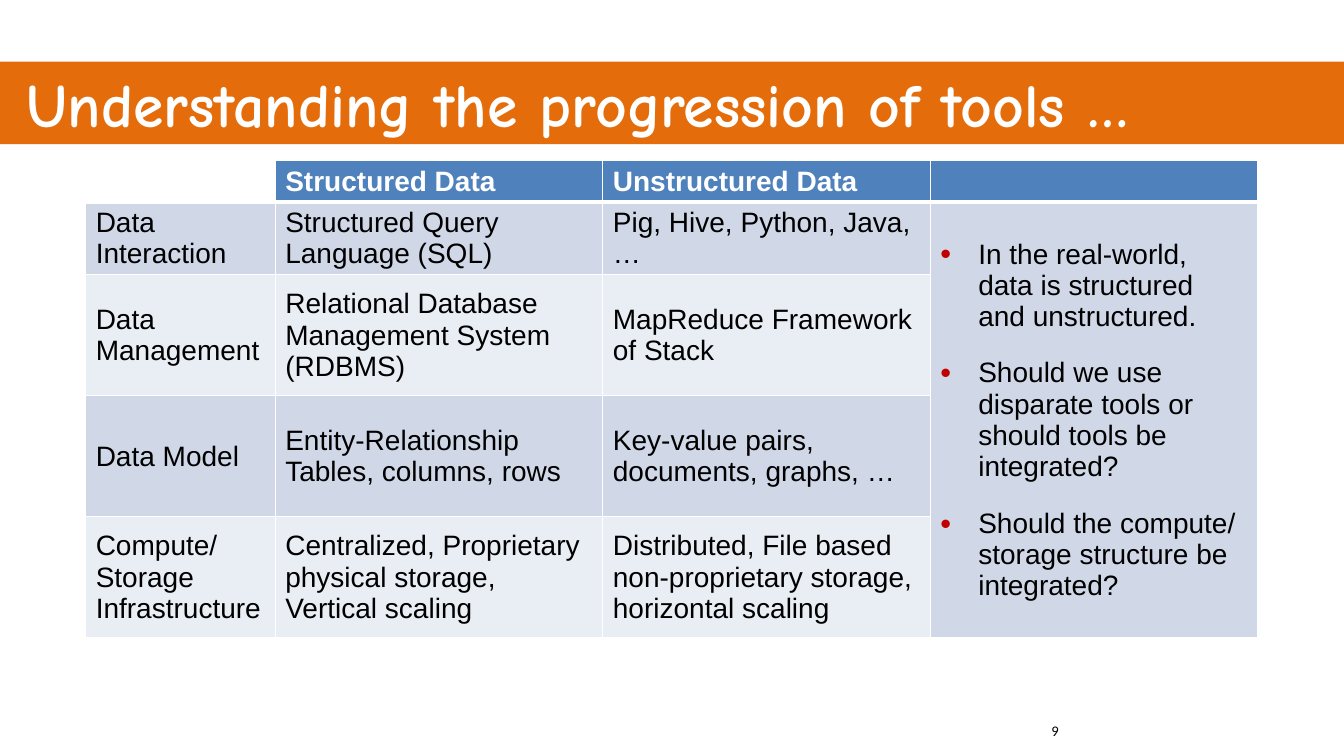
from lxml.etree import SubElement
from pptx import Presentation
from pptx.dml.color import RGBColor
from pptx.enum.text import MSO_ANCHOR, MSO_AUTO_SIZE, PP_ALIGN
from pptx.oxml import parse_xml
from pptx.oxml.ns import nsdecls, qn
from pptx.util import Pt

WHITE = RGBColor(0xFF, 0xFF, 0xFF)
BLACK = RGBColor(0, 0, 0)
ORANGE = RGBColor(0xE4, 0x6C, 0x0A)
HEADER_BLUE = RGBColor(0x4F, 0x81, 0xBD)
BAND_DARK = RGBColor(0xD0, 0xD8, 0xE8)
BAND_LIGHT = RGBColor(0xE9, 0xED, 0xF4)
BULLET_RED = RGBColor(0xC0, 0, 0)

SLIDE_WIDTH, SLIDE_HEIGHT = 960, 540
COLUMN_WIDTHS = [135.4, 234, 234, 234]
ROW_HEIGHTS = [30, 50.4, 86.4, 86.4, 86.4]

TOOL_ROWS = [
    ["", "Structured Data", "Unstructured Data", ""],
    ["Data Interaction", "Structured Query Language (SQL)", "Pig, Hive, Python, Java, …"],
    ["Data Management", "Relational Database Management System (RDBMS)",
     "MapReduce Framework of Stack"],
    ["Data Model", "Entity-Relationship\nTables, columns, rows",
     "Key-value pairs, documents, graphs, …"],
    ["Compute/ Storage Infrastructure",
     "Centralized, Proprietary physical storage, Vertical scaling",
     "Distributed, File based non-proprietary storage, horizontal scaling"],
]
QUESTIONS = [
    "In the real-world, data is structured and unstructured.",
    "Should we use disparate tools or should tools be integrated?",
    "Should the compute/ storage structure be integrated?",
]


def style_font(font, name, size, color, bold=False):
    font.name, font.size, font.bold = name, Pt(size), bold
    font.color.rgb = color


def add_title_band(slide, left, top, width, height):
    title = slide.shapes.title
    title.left, title.top, title.width, title.height = map(Pt, (left, top, width, height))
    title.fill.solid()
    title.fill.fore_color.rgb = ORANGE
    frame = title.text_frame
    frame.text = "Understanding the progression of tools …"
    frame.auto_size = MSO_AUTO_SIZE.NONE
    frame.vertical_anchor = MSO_ANCHOR.MIDDLE
    frame.margin_left = Pt(19)
    heading = frame.paragraphs[0]
    heading.alignment = PP_ALIGN.LEFT
    style_font(heading.runs[0].font, "Comic Neue", 44, WHITE, True)


def set_borders(cell, bottom_width):
    sides = [("lnL", 1), ("lnR", 1), ("lnT", 1), ("lnB", bottom_width)]
    properties = cell._tc.get_or_add_tcPr()
    for position, (side, width) in enumerate(sides):
        properties.insert(position, parse_xml(
            f'<a:{side} {nsdecls("a")} w="{Pt(width)}"><a:solidFill>'
            f'<a:srgbClr val="{WHITE}"/></a:solidFill></a:{side}>'))


def add_bullet(paragraph):
    properties = paragraph._p.get_or_add_pPr()
    properties.set("marL", str(Pt(27)))
    properties.set("indent", str(Pt(-27)))
    bullet_color = SubElement(properties, qn("a:buClr"))
    SubElement(bullet_color, qn("a:srgbClr"), val=str(BULLET_RED))
    SubElement(properties, qn("a:buSzPct"), val="110000")
    SubElement(properties, qn("a:buFont"), typeface="Arial")
    SubElement(properties, qn("a:buChar"), char="•")


def add_tools_table(slide, left, top):
    table = slide.shapes.add_table(
        len(ROW_HEIGHTS), len(COLUMN_WIDTHS), Pt(left), Pt(top),
        Pt(sum(COLUMN_WIDTHS)), Pt(sum(ROW_HEIGHTS))).table
    for column, width in zip(table.columns, COLUMN_WIDTHS):
        column.width = Pt(width)
    for row, height in zip(table.rows, ROW_HEIGHTS):
        row.height = Pt(height)

    # Wording, with the questions in one tall cell on the right
    for r, texts in enumerate(TOOL_ROWS):
        for c, text in enumerate(texts):
            table.cell(r, c).text = text
    last_column = len(COLUMN_WIDTHS) - 1
    questions_cell = table.cell(1, last_column)
    questions_cell.merge(table.cell(len(ROW_HEIGHTS) - 1, last_column))
    questions_cell.text = "\n".join(QUESTIONS)
    for i, question in enumerate(questions_cell.text_frame.paragraphs):
        add_bullet(question)
        question.space_before = Pt(6 if i else 0)
        question.space_after = Pt(12)

    # Fills, borders and fonts
    for r, row in enumerate(table.rows):
        is_header = r == 0
        for c, cell in enumerate(row.cells):
            if is_header and c == 0:
                cell.fill.background()
            else:
                cell.fill.solid()
                band = BAND_DARK if r % 2 or c == last_column else BAND_LIGHT
                cell.fill.fore_color.rgb = HEADER_BLUE if is_header else band
            set_borders(cell, 3 if is_header else 1)
            cell.vertical_anchor = MSO_ANCHOR.MIDDLE
            for paragraph in cell.text_frame.paragraphs:
                style_font(paragraph.font, "Arial", 20, WHITE if is_header else BLACK, is_header)
                for run in paragraph.runs:
                    style_font(run.font, "Arial", 20, WHITE if is_header else BLACK, is_header)


def add_page_number(slide, left, top, width, height):
    page_number = slide.shapes.add_textbox(Pt(left), Pt(top), Pt(width), Pt(height))
    frame = page_number.text_frame
    frame.word_wrap = True
    frame.text = "9"
    style_font(frame.paragraphs[0].runs[0].font, "Calibri", 10.5, BLACK)


def main():
    deck = Presentation()
    deck.slide_width, deck.slide_height = Pt(SLIDE_WIDTH), Pt(SLIDE_HEIGHT)
    slide = deck.slides.add_slide(deck.slide_layouts[5])
    add_title_band(slide, 0, 44, SLIDE_WIDTH, 59)
    add_tools_table(slide, 61.2, 114.5)
    add_page_number(slide, 744, 512, 216, 28)
    deck.save("out.pptx")


if __name__ == "__main__":
    main()
